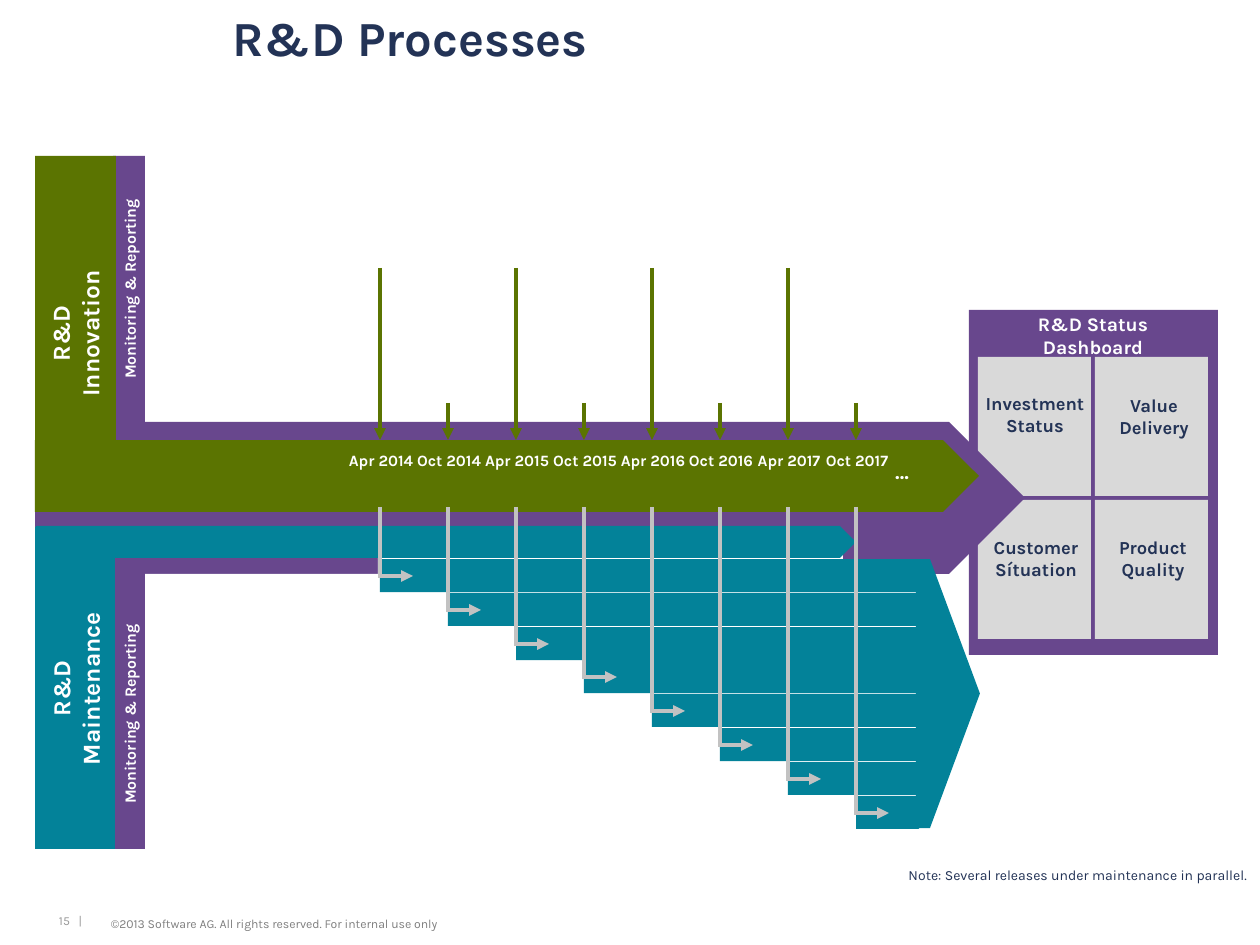
import pptx
import pptx.util
import pptx.dml.color
import pptx.enum.shapes
import pptx.enum.text
import pptx.oxml.ns
import lxml.etree

PX = 914400 / 126
FONT = "Karla"
NAVY, WHITE, GREY, SILVER = "233356", "FFFFFF", "D9D9D9", "C2C2C2"
PURPLE, GREEN, TEAL = "68478D", "5B7401", "038299"
KIND = pptx.enum.shapes.MSO_SHAPE
RECT, PLATE = KIND.RECTANGLE, KIND.PENTAGON
ALIGN = pptx.enum.text.PP_ALIGN

# Content: "\v" breaks a line, "\n" starts a paragraph
TITLE = "R&D Processes"
NOTE = "Note: Several releases under maintenance in parallel."
RIGHTS = "©2013 Software AG. All rights reserved. For internal use only"
PAGE = "15   |"
BOARD = "R&D Status Dashboard"
# text, left, top, width of each dashboard label
CELLS = [
    ("Investment\vStatus", 972, 386, 126),
    ("Value\nDelivery", 1091, 388, 126),
    ("Customer\vSítuation", 966, 530, 140),
    ("Product\vQuality", 1090, 530, 126),
]
DATES = ["Apr 2014", "Oct 2014", "Apr 2015", "Oct 2015",
         "Apr 2016", "Oct 2016", "Apr 2017", "Oct 2017"]
WATCH = "Monitoring & Reporting"
# text, colour, bar box, text box before it is turned
SIDES = [
    ("R&D\vInnovation", GREEN, (35, 156, 81, 355), (-102, 304, 354, 59)),
    ("R&D\vMaintenance", TEAL, (35, 527, 80, 322), (-86, 659, 323, 59)),
]
# strip box, text box before it is turned
STRIPS = [
    ((113, 156, 32, 266), (-3, 273, 266, 32)),
    ((113, 568, 32, 281), (-3, 698, 266, 32)),
]


def emu(*nums):
    return [pptx.util.Emu(round(n * PX)) for n in nums]


def rgb(code):
    return pptx.dml.color.RGBColor.from_string(code)


deck = pptx.Presentation()
deck.slide_width, deck.slide_height = emu(1260, 945)
slide = deck.slides.add_slide(deck.slide_layouts[6])


def block(kind, box, color):
    shape = slide.shapes.add_shape(kind, *emu(*box))
    shape.shadow.inherit = False
    shape.fill.solid()
    shape.fill.fore_color.rgb = rgb(color)
    shape.line.fill.background()
    return shape


def label(text, box, size, color=WHITE, bold=True, align=ALIGN.CENTER,
          flush=False, turn=0):
    shape = slide.shapes.add_textbox(*emu(*box))
    shape.rotation = turn
    frame = shape.text_frame
    frame.word_wrap = True
    if flush:
        frame.margin_left = frame.margin_right = 0
        frame.margin_top = frame.margin_bottom = 0
    frame.text = text
    for para in frame.paragraphs:
        para.alignment = align
        font = para.font
        font.name, font.size, font.bold = FONT, pptx.util.Pt(size), bold
        font.color.rgb = rgb(color)


def line(x1, y1, x2, y2, color, arrow=False):
    link = slide.shapes.add_connector(
        pptx.enum.shapes.MSO_CONNECTOR.STRAIGHT, *emu(x1, y1, x2, y2))
    link.line.color.rgb = rgb(color)
    link.line.width = pptx.util.Pt(2.25)
    qn = pptx.oxml.ns.qn
    if arrow:
        tail = lxml.etree.SubElement(link.line._get_or_add_ln(), qn("a:tailEnd"))
        tail.set("type", "triangle")
    lxml.etree.SubElement(link._element.spPr, qn("a:effectLst"))


# Footer, title and note
label(RIGHTS, (111, 916, 391, 15), 7, "7F7F7F", False, ALIGN.LEFT, True)
label(PAGE, (59, 913, 34, 20), 7, "999999", False, ALIGN.LEFT, True)
label(TITLE, (220, 1, 1038, 72), 28, NAVY, align=ALIGN.LEFT)
label(NOTE, (571, 860, 689, 30), 8, NAVY, False, ALIGN.RIGHT)

# Status dashboard
block(RECT, (969, 310, 249, 345), PURPLE)
label(BOARD, (978, 306, 230, 37), 11)
for i, (text, left, top, wide) in enumerate(CELLS):
    row, col = divmod(i, 2)
    block(RECT, (978 + 117 * col, 357 + 143 * row, 113, 139), GREY)
for text, left, top, wide in CELLS:
    label(text, (left, top, wide, 57), 10.5, NAVY)

# Reporting arrow, cleared areas and innovation arrow
block(PLATE, (35, 422, 990, 152), PURPLE)
for box in [(378, 553, 465, 275), (89, 156, 829, 262), (87, 574, 832, 275)]:
    block(RECT, box, WHITE)
block(PLATE, (35, 440, 944, 72), GREEN)

# One column per release, one step down per maintenance line
STEPS = [(380 + 68 * i, round(559 + 33.8 * i)) for i in range(len(DATES))]
for (x, y), date in zip(STEPS, DATES):
    label(date, (x - 32, 451, 66, 38), 9, flush=True)
label("…", (869, 459, 66, 25), 12, flush=True)

# Maintenance arrows
block(PLATE, (36, 526, 820, 32), TEAL)
for x, y in STEPS:
    block(PLATE, (x, y, 935 - x, 33), TEAL)
block(PLATE, (916, 559, 64, 269), TEAL).adjustments[0] = 0.78

# Hand-over from release to maintenance
for x, y in STEPS:
    line(x, 507, x, y + 19, SILVER)
    line(x - 1, y + 17, x + 33, y + 17, SILVER, True)

# Side bars
for box, spot in STRIPS:
    block(RECT, box, PURPLE)
    label(WATCH, spot, 9, turn=270)
for text, color, box, spot in SIDES:
    block(RECT, box, color)
    label(text, spot, 14, flush=True, turn=270)

# Release arrows, long in April and short in October
for i, (x, y) in enumerate(STEPS):
    line(x, 403 if i % 2 else 268, x, 440, GREEN, True)

deck.save("out.pptx")
